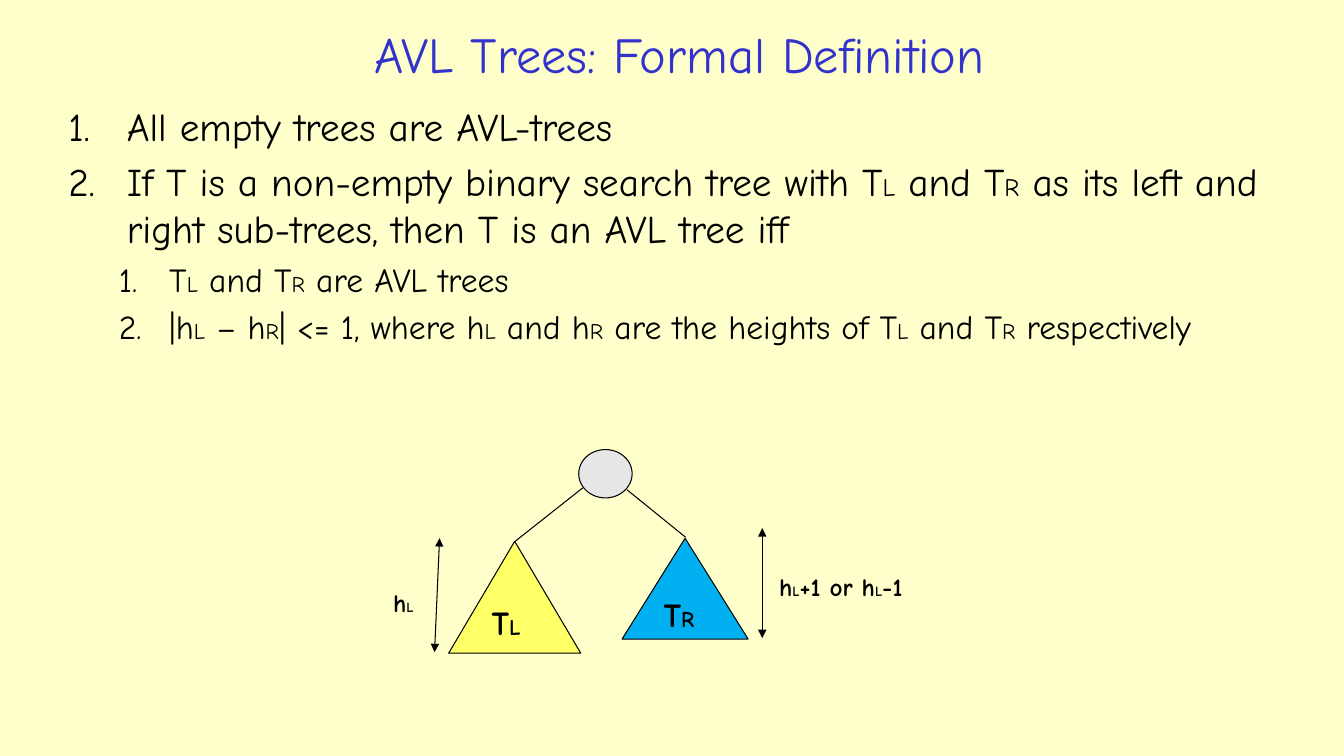
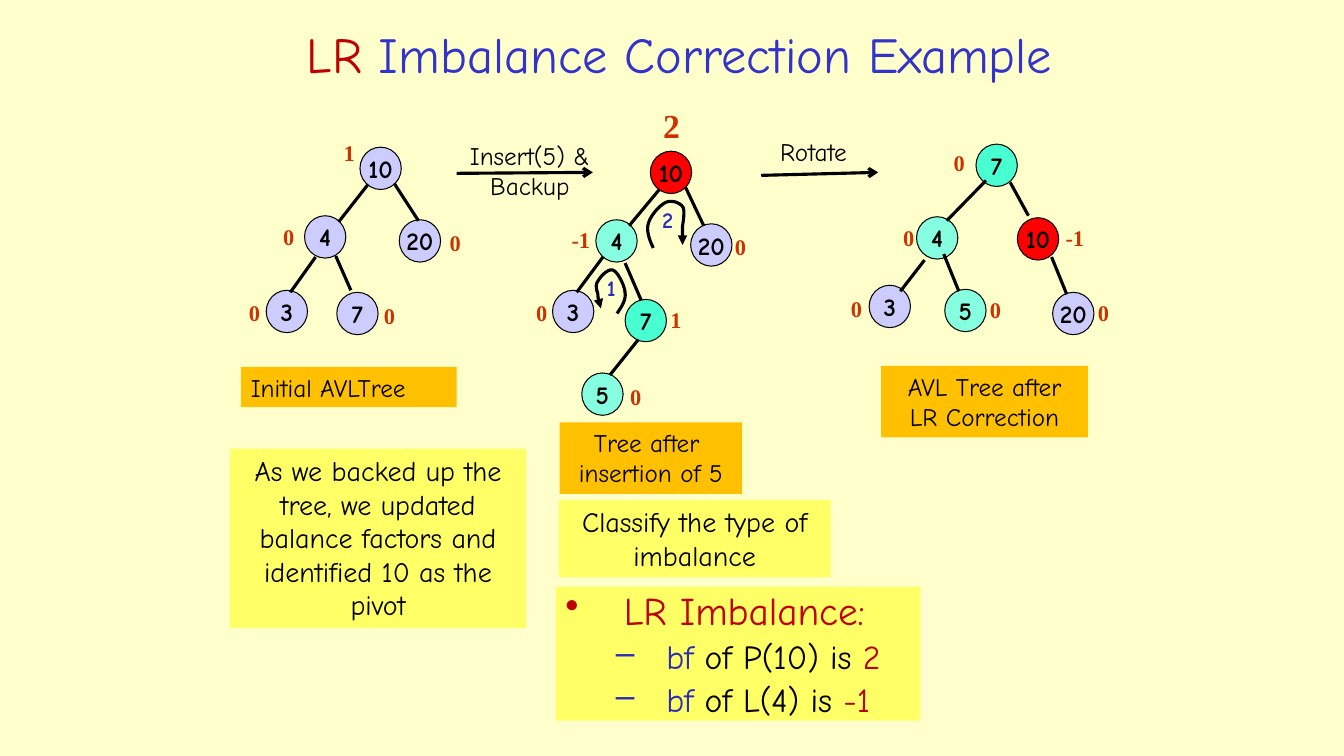
from lxml.etree import SubElement
from pptx import Presentation
from pptx.dml.color import RGBColor
from pptx.enum.shapes import MSO_CONNECTOR as Connector, MSO_SHAPE as Shape
from pptx.enum.text import MSO_ANCHOR as Anchor, MSO_AUTO_SIZE as AutoSize, PP_ALIGN as Align
from pptx.oxml.ns import qn
from pptx.util import Inches, Pt

# Shared style
COMIC, TIMES = "Comic Neue", "Times New Roman"
BLACK, CREAM, BLUE, NAVY = "000000", "FFFFCC", "3333CC", "2D2DB9"
CRIMSON, RUST, RED = "C00000", "CC3300", "FF0000"
YELLOW, ORANGE, SKY, GRAY = "FFFF66", "FFC000", "00B0F0", "E6E6E6"
LILAC, MINT, TEAL = "CCCCFF", "85FFE0", "47FFD1"
THIN, THICK = 0.75, 2.25
NODE_WIDTH, NODE_HEIGHT = 0.41, 0.42


def rgb(color):
    return RGBColor.from_string(color)


def span(text, size=18, color=BLACK, bold=False, font=COMIC):
    return {"text": text, "size": size, "color": color, "bold": bold, "font": font}


def subscripts(text, size, small, bold=False):
    """Each letter after an underscore is set in the small size."""
    first, *rest = text.split("_")
    spans = [span(first, size, bold=bold)]
    for piece in rest:
        spans.append(span(piece[0], small, bold=bold))
        if piece[1:]:
            spans.append(span(piece[1:], size, bold=bold))
    return spans


def curve(start, *segments):
    """Points along joined cubic segments; a single point is a straight step."""
    points = [start]
    for segment in segments:
        if len(segment) == 2:
            points.append(segment)
            continue
        (x0, y0), (x1, y1, x2, y2, x3, y3) = points[-1], segment
        for step in range(1, 13):
            t = step / 12
            a, b, c, d = (1 - t) ** 3, 3 * t * (1 - t) ** 2, 3 * t * t * (1 - t), t ** 3
            points.append((a * x0 + b * x1 + c * x2 + d * x3,
                           a * y0 + b * y1 + c * y2 + d * y3))
    return points


class Slides:
    def __init__(self):
        self.deck = Presentation()
        self.deck.slide_width, self.deck.slide_height = Inches(13.33), Inches(7.5)
        self.page = None

    def new_page(self, *title):
        self.page = self.deck.slides.add_slide(self.deck.slide_layouts[6])
        fill = self.page.background.fill
        fill.solid()
        fill.fore_color.rgb = rgb(CREAM)
        self.text((1.97, 0.15, 9.54, 0.76), [title], align=Align.CENTER,
                  anchor=Anchor.MIDDLE, wrap=True, grow=False)

    def paragraph(self, para, spans, align=Align.LEFT):
        para.alignment = align
        for item in spans:
            run = para.add_run()
            run.text = item["text"]
            run.font.name, run.font.size = item["font"], Pt(item["size"])
            run.font.bold, run.font.color.rgb = item["bold"], rgb(item["color"])

    def fill_frame(self, frame, paragraphs, align, anchor, wrap):
        frame.word_wrap, frame.vertical_anchor = wrap, anchor
        for index, spans in enumerate(paragraphs):
            para = frame.add_paragraph() if index else frame.paragraphs[0]
            self.paragraph(para, spans, align)

    def text(self, place, paragraphs, fill=None, align=Align.LEFT,
             anchor=Anchor.TOP, wrap=False, grow=True):
        box = self.page.shapes.add_textbox(*map(Inches, place))
        if fill:
            box.fill.solid()
            box.fill.fore_color.rgb = rgb(fill)
        self.fill_frame(box.text_frame, paragraphs, align, anchor, wrap)
        box.text_frame.auto_size = AutoSize.SHAPE_TO_FIT_TEXT if grow else AutoSize.NONE
        return box

    def listing(self, place, items, marks, fill=None, spacing=None):
        """Items are (level, spans); marks holds the bullet of each level."""
        box = self.text(place, [spans for _, spans in items], fill, wrap=True, grow=False)
        for index, (para, (level, spans)) in enumerate(zip(box.text_frame.paragraphs, items)):
            para.level = level
            para.line_spacing = spacing
            if index:
                para.space_before = Pt(spans[0]["size"] * 0.2)
            left, hang = ((0.58, 0.58), (1, 0.5))[level]
            props = para._p.get_or_add_pPr()
            props.set("marL", str(Inches(left)))
            props.set("indent", str(-Inches(hang)))
            if marks[level] == "1.":
                SubElement(props, qn("a:buFont"), typeface="+mj-lt")
                SubElement(props, qn("a:buAutoNum"), type="arabicPeriod")
            else:
                SubElement(props, qn("a:buChar"), char=marks[level])

    def shape(self, kind, place, fill, spans=(), align=Align.LEFT,
              anchor=Anchor.TOP, wrap=True):
        shape = self.page.shapes.add_shape(kind, *map(Inches, place))
        shape.shadow.inherit = False
        shape.fill.solid()
        shape.fill.fore_color.rgb = rgb(fill)
        shape.line.color.rgb, shape.line.width = rgb(BLACK), Pt(THIN)
        if spans:
            self.fill_frame(shape.text_frame, [spans], align, anchor, wrap)

    def stroke(self, shape, width, head=None, tail=None):
        shape.line.color.rgb, shape.line.width = rgb(BLACK), Pt(width)
        line = shape.line._get_or_add_ln()
        for tag, arrow in (("a:headEnd", head), ("a:tailEnd", tail)):
            if arrow:
                SubElement(line, qn(tag), type=arrow)

    def line(self, x1, y1, x2, y2, width=THICK, head=None, tail=None):
        line = self.page.shapes.add_connector(
            Connector.STRAIGHT, *map(Inches, (x1, y1, x2, y2)))
        self.stroke(line, width, head, tail)
        SubElement(line._element.spPr, qn("a:effectLst"))

    def turn(self, points, number, left, top):
        """A curved rotation arrow with its step number."""
        (x, y), *rest = [(Inches(x), Inches(y)) for x, y in points]
        builder = self.page.shapes.build_freeform(x, y)
        builder.add_line_segments(rest, close=False)
        arrow = builder.convert_to_shape()
        arrow.shadow.inherit = False
        arrow.fill.background()
        self.stroke(arrow, THICK, tail="triangle")
        self.text((left, top, 0.34, 0.37), [[span(number, 16, NAVY, True)]])

    def tree(self, nodes, edges, factors):
        for label, left, top, fill in nodes:
            self.shape(Shape.OVAL, (left, top, NODE_WIDTH, NODE_HEIGHT), fill,
                       [span(label, bold=True)], Align.CENTER, Anchor.MIDDLE, wrap=False)
        for edge in edges:
            self.line(*edge)
        for label, left, top in factors:
            width = 0.39 if len(label) > 1 else 0.31
            self.text((left, top, width, 0.37), [[span(label, 16, RUST, True, TIMES)]])

    def caption(self, place, *lines, fill=None, align=Align.CENTER):
        self.text(place, [[span(line)] for line in lines], fill, align)

    def note(self, place, text):
        self.text(place, [[span(text, 20)]], YELLOW, Align.CENTER, wrap=True)


def definition_page(slides):
    slides.new_page(span("AVL Trees: Formal Definition", 36, BLUE))
    items = [
        (0, "All empty trees are AVL-trees"),
        (0, "If T is a non-empty binary search tree with T_L and T_R as its left and "
            "right sub-trees, then T is an AVL tree iff"),
        (1, "T_L and T_R are AVL trees"),
        (1, "|h_L – h_R| <= 1, where h_L and h_R are the heights of T_L and T_R respectively"),
    ]
    sizes = ((28, 18), (24, 16))
    slides.listing((0.58, 0.97, 12.38, 3.45),
                   [(level, subscripts(text, *sizes[level])) for level, text in items],
                   marks=("1.", "1."))

    # Root, branches and height arrows
    slides.shape(Shape.OVAL, (5.74, 4.46, 0.53, 0.48), GRAY)
    for branch in ((6.22, 4.86, 6.8, 5.33), (5.11, 5.37, 5.78, 4.84)):
        slides.line(*branch, width=THIN)
    for height in ((4.31, 6.47, 4.36, 5.34), (7.56, 6.33, 7.56, 5.24)):
        slides.line(*height, width=THIN, head="triangle", tail="triangle")
    for place, text in (((3.8, 5.78, 0.43, 0.4), "h_L"),
                        ((7.63, 5.62, 1.74, 0.4), "h_L+1 or h_L-1")):
        slides.text(place, [subscripts(text, 18, 10, bold=True)])

    # Sub-trees
    for place, fill, text in (((4.45, 5.37, 1.31, 1.11), YELLOW, "T_L"),
                              ((6.17, 5.34, 1.25, 1), SKY, "T_R")):
        slides.shape(Shape.ISOSCELES_TRIANGLE, place, fill,
                     subscripts(text, 24, 16, bold=True))


def correction_page(slides):
    slides.new_page(span("LR ", 36, CRIMSON), span("Imbalance Correction Example", 36, BLUE))

    # Initial tree
    slides.tree(
        nodes=[("10", 3.57, 1.46, LILAC), ("4", 3.02, 2.14, LILAC), ("20", 3.96, 2.18, LILAC),
               ("7", 3.34, 2.9, LILAC), ("3", 2.64, 2.88, LILAC)],
        edges=[(3.91, 1.82, 4.15, 2.19), (3.65, 1.83, 3.36, 2.2),
               (3.33, 2.54, 3.48, 2.88), (3.13, 2.55, 2.88, 2.9)],
        factors=[("1", 3.31, 1.33), ("0", 2.71, 2.16), ("0", 3.71, 2.95),
                 ("0", 4.36, 2.22), ("0", 2.37, 2.92)])
    slides.caption((2.39, 3.64, 2.14, 0.4), "Initial AVLTree", fill=ORANGE, align=Align.LEFT)

    # Steps between the trees
    slides.line(4.53, 1.72, 5.88, 1.71, tail="arrow")
    slides.caption((4.46, 1.34, 1.59, 0.71), "Insert(5) &", "Backup")
    slides.line(7.55, 1.74, 8.71, 1.71, tail="arrow")
    slides.caption((7.64, 1.3, 1.02, 0.4), "Rotate", align=Align.LEFT)

    # Tree after insertion
    slides.tree(
        nodes=[("10", 6.45, 1.5, RED), ("4", 5.91, 2.18, MINT), ("20", 6.85, 2.22, LILAC),
               ("5", 5.77, 3.7, MINT), ("7", 6.2, 2.97, TEAL), ("3", 5.48, 2.88, LILAC)],
        edges=[(6.8, 1.86, 6.98, 2.24), (6.54, 1.88, 6.24, 2.24), (6.2, 2.61, 6.36, 2.98),
               (6.33, 3.37, 6.05, 3.72), (5.98, 2.55, 5.72, 2.9)],
        factors=[("0", 5.22, 2.92), ("-1", 5.57, 2.19), ("0", 7.19, 2.26),
                 ("1", 6.55, 2.99), ("0", 6.15, 3.75)])
    slides.text((6.48, 0.99, 0.37, 0.5), [[span("2", 24, RUST, True, TIMES)]])
    slides.turn(curve((6.12, 3.11), (6.16, 3.05, 6.21, 2.98, 6.2, 2.91),
                      (6.2, 2.84, 6.13, 2.7, 6.08, 2.68), (6.03, 2.66, 5.95, 2.75, 5.93, 2.79),
                      (5.9, 2.83, 5.92, 2.88, 5.93, 2.92), (5.93, 2.97, 5.95, 3.02, 5.96, 3.06)),
                "1", 5.92, 2.67)
    slides.turn(curve((6.48, 2.46), (6.44, 2.38, 6.41, 2.29, 6.43, 2.22),
                      (6.45, 2.14, 6.54, 2.04, 6.6, 2.01), (6.66, 1.98, 6.74, 2.01, 6.77, 2.05),
                      (6.8, 2.08, 6.77, 2.24, 6.77, 2.24), (6.77, 2.43)),
                "2", 6.47, 2)
    slides.caption((5.55, 4.19, 1.81, 0.71), "Tree after ", "insertion of 5", fill=ORANGE)

    # Corrected tree
    slides.tree(
        nodes=[("7", 9.68, 1.43, TEAL), ("4", 9.09, 2.15, MINT), ("3", 8.62, 2.83, LILAC),
               ("5", 9.37, 2.87, MINT), ("10", 10.09, 2.16, RED), ("20", 10.44, 2.9, LILAC)],
        edges=[(9.78, 1.79, 9.39, 2.19), (9.17, 2.58, 8.93, 2.89), (9.36, 2.52, 9.51, 2.89),
               (10.02, 1.81, 10.2, 2.14), (10.43, 2.55, 10.58, 2.92)],
        factors=[("0", 9.72, 2.89), ("0", 10.79, 2.92), ("0", 9.36, 1.43),
                 ("0", 8.86, 2.17), ("0", 8.34, 2.88), ("-1", 10.47, 2.17)])
    slides.caption((8.74, 3.63, 2.05, 0.71), "AVL Tree after", "LR Correction", fill=ORANGE)

    # Explanations
    slides.note((2.28, 4.45, 2.94, 1.78), "As we backed up the tree, we updated balance "
                "factors and identified 10 as the pivot")
    slides.note((5.54, 4.96, 2.7, 0.77), "Classify the type of imbalance")
    balances = [(1, [span("bf", 24, NAVY), span(f" of {node} is ", 24), span(value, 24, CRIMSON)])
                for node, value in (("P(10)", "2"), ("L(4)", "-1"))]
    slides.listing((5.51, 5.82, 3.62, 1.33),
                   [(0, [span("LR Imbalance:", 28, CRIMSON)])] + balances,
                   marks=("•", "–"), fill=YELLOW, spacing=0.9)


def main():
    slides = Slides()
    definition_page(slides)
    correction_page(slides)
    slides.deck.save("out.pptx")


if __name__ == "__main__":
    main()
